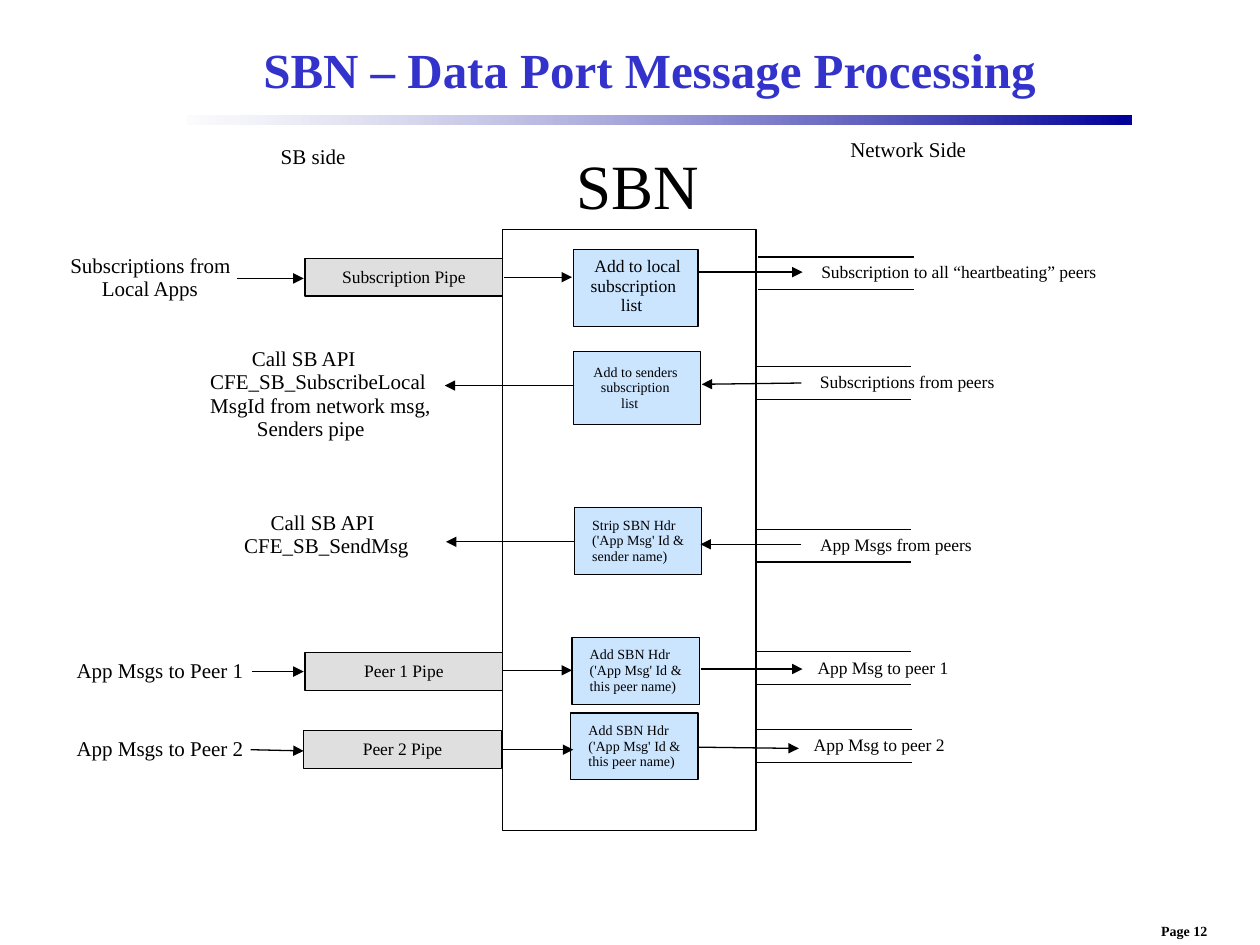
from dataclasses import dataclass

from pptx import Presentation
from pptx.dml.color import RGBColor
from pptx.enum.shapes import MSO_CONNECTOR as Connector, MSO_SHAPE as Shape
from pptx.enum.text import MSO_ANCHOR as Anchor, PP_ALIGN as Align
from pptx.oxml.ns import qn
from pptx.oxml.xmlchemy import OxmlElement
from pptx.util import Inches, Pt


@dataclass(frozen=True)
class Theme:
    font: str = "Times New Roman"
    ink: str = "000000"
    paper: str = "FFFFFF"
    title: str = "3333CC"
    rule: str = "000099"
    rule_fade: str = "F8F8FB"
    step: str = "99CCFF"
    pipe: str = "C0C0C0"
    title_size: int = 28
    banner_size: int = 36
    label_size: int = 12
    body_size: int = 10
    small_size: int = 8
    line_width: float = 0.75
    line_spacing: float = 0.93


@dataclass(frozen=True)
class Line:
    text: str
    indent: float = 0


@dataclass(frozen=True)
class Label:
    left: float
    top: float
    width: float
    height: float
    size: int
    lines: tuple[Line, ...]


@dataclass(frozen=True)
class Step:
    left: float
    top: float
    width: float
    height: float
    inset: float = 0
    lines: tuple[Line, ...] = ()


@dataclass(frozen=True)
class Pipe:
    left: float
    top: float
    text: str


@dataclass(frozen=True)
class Wire:
    start: tuple[float, float]
    end: tuple[float, float]


THEME = Theme()
PIPE_SIZE = (1.57, 0.3)
CHANNEL_LENGTH, CHANNEL_GAP = 1.23, 0.26
CHANNELS = ((6.02, 2.04), (6, 2.91), (6, 4.2), (6, 5.17), (6.01, 5.79))

LABELS = (
    Label(6.65, 1.05, 1.1, 0.28, THEME.label_size, (Line("Network Side"),)),
    Label(2.13, 1.11, 0.7, 0.28, THEME.label_size, (Line("SB side"),)),
    Label(4.48, 1.17, 1.15, 0.65, THEME.banner_size, (Line("SBN"),)),
    Label(0.46, 1.97, 1.48, 0.47, THEME.label_size,
          (Line("Subscriptions from"), Line("Local Apps", 0.25))),
    Label(1.57, 2.71, 1.91, 0.84, THEME.label_size,
          (Line("Call SB API", 0.33), Line("CFE_SB_SubscribeLocal"),
           Line("MsgId from network msg,"), Line("Senders pipe", 0.37))),
    Label(1.72, 4.01, 1.6, 0.47, THEME.label_size,
          (Line("Call SB API", 0.33), Line("CFE_SB_SendMsg", 0.12))),
    Label(0.51, 5.19, 1.5, 0.28, THEME.label_size, (Line("App Msgs to Peer 1"),)),
    Label(0.51, 5.81, 1.5, 0.28, THEME.label_size, (Line("App Msgs to Peer 2"),)),
    Label(6.42, 2.04, 2.34, 0.25, THEME.body_size,
          (Line("Subscription to all “heartbeating” peers"),)),
    Label(6.41, 2.91, 1.56, 0.25, THEME.body_size, (Line("Subscriptions from peers"),)),
    Label(6.41, 4.2, 1.38, 0.25, THEME.body_size, (Line("App Msgs from peers"),)),
    Label(6.39, 5.18, 1.21, 0.25, THEME.body_size, (Line("App Msg to peer 1"),)),
    Label(6.36, 5.79, 1.21, 0.25, THEME.body_size, (Line("App Msg to peer 2"),)),
    Label(4.59, 1.99, 0.94, 0.56, THEME.body_size,
          (Line("Add to local", 0.03), Line("subscription"), Line("list", 0.24))),
)

ADD_HEADER = (Line("Add SBN Hdr"), Line("('App Msg' Id &"), Line("this peer name)"))
STEPS = (
    Step(4.55, 1.98, 0.99, 0.61),
    Step(4.55, 2.79, 1.01, 0.58, 0.16,
         (Line("Add to senders"), Line("subscription", 0.06), Line("list", 0.22))),
    Step(4.56, 4.03, 1.01, 0.53, 0.14,
         (Line("Strip SBN Hdr"), Line("('App Msg' Id &"), Line("sender name)"))),
    Step(4.54, 5.06, 1.01, 0.53, 0.14, ADD_HEADER),
    Step(4.53, 5.66, 1.01, 0.53, 0.14, ADD_HEADER),
)

PIPES = (
    Pipe(2.42, 2.05, "Subscription Pipe"),
    Pipe(2.42, 5.18, "Peer 1 Pipe"),
    Pipe(2.41, 5.8, "Peer 2 Pipe"),
)

ARROWS = (
    Wire((1.88, 2.21), (2.41, 2.21)), Wire((4, 2.2), (4.54, 2.2)),
    Wire((5.54, 2.16), (6.37, 2.16)),
    Wire((6.36, 3.04), (5.57, 3.05)), Wire((4.55, 3.06), (3.53, 3.06)),
    Wire((6.36, 4.32), (5.56, 4.32)), Wire((4.56, 4.3), (3.54, 4.3)),
    Wire((2, 5.33), (2.41, 5.33)), Wire((3.99, 5.32), (4.54, 5.32)),
    Wire((5.56, 5.31), (6.37, 5.31)),
    Wire((1.99, 5.95), (2.41, 5.96)), Wire((3.99, 5.95), (4.55, 5.95)),
    Wire((5.54, 5.93), (6.34, 5.94)),
)


def color(value: str) -> RGBColor:
    return RGBColor.from_string(value)


def halve_opacity(shape) -> None:
    alpha = OxmlElement("a:alpha")
    alpha.set("val", "50000")
    next(shape.element.spPr.iter(qn("a:srgbClr"))).append(alpha)


def write(shape, lines: tuple[Line, ...], size: int, inset: float = 0.1,
          anchor=Anchor.TOP, align=Align.LEFT, ink: str = THEME.ink,
          bold: bool = False, spacing: float = THEME.line_spacing) -> None:
    frame = shape.text_frame
    frame.word_wrap = True
    frame.vertical_anchor = anchor
    frame.margin_left = Inches(inset)
    frame.margin_right = Inches(0)
    frame.margin_top = frame.margin_bottom = Inches(0.05)
    for index, line in enumerate(lines):
        paragraph = frame.add_paragraph() if index else frame.paragraphs[0]
        paragraph.text = line.text
        paragraph.alignment = align
        paragraph.line_spacing = spacing
        font = paragraph.font
        font.name, font.size, font.bold = THEME.font, Pt(size), bold
        font.color.rgb = color(ink)
        if line.indent:
            paragraph._p.get_or_add_pPr().set("marL", str(Inches(line.indent)))


def add_text(slide, label: Label, **style) -> None:
    box = slide.shapes.add_textbox(Inches(label.left), Inches(label.top),
                                   Inches(label.width), Inches(label.height))
    write(box, label.lines, label.size, **style)


def add_box(slide, left: float, top: float, width: float, height: float, fill: str):
    box = slide.shapes.add_shape(Shape.RECTANGLE, Inches(left), Inches(top),
                                 Inches(width), Inches(height))
    box.shadow.inherit = False
    box.fill.solid()
    box.fill.fore_color.rgb = color(fill)
    halve_opacity(box)
    box.line.color.rgb = color(THEME.ink)
    box.line.width = Pt(THEME.line_width)
    return box


def add_wire(slide, wire: Wire, arrow: bool) -> None:
    points = [Inches(value) for value in (*wire.start, *wire.end)]
    connector = slide.shapes.add_connector(Connector.STRAIGHT, *points)
    connector.line.color.rgb = color(THEME.ink)
    connector.line.width = Pt(THEME.line_width)
    if arrow:
        tail = OxmlElement("a:tailEnd")
        tail.set("type", "triangle")
        connector.line._get_or_add_ln().append(tail)
    connector.element.spPr.append(OxmlElement("a:effectLst"))


def add_title_rule(slide) -> None:
    rule = slide.shapes.add_shape(Shape.RECTANGLE, Inches(1.49), Inches(0.92),
                                  Inches(7.49), Inches(0.07))
    rule.shadow.inherit = False
    rule.line.fill.background()
    rule.fill.gradient()
    rule.fill.gradient_angle = 0
    for stop, value in zip(rule.fill.gradient_stops, (THEME.rule_fade, THEME.rule)):
        stop.color.rgb = color(value)
    halve_opacity(rule)


def main() -> None:
    presentation = Presentation()
    presentation.slide_width, presentation.slide_height = Inches(10), Inches(7.5)
    slide = presentation.slides.add_slide(presentation.slide_layouts[6])

    add_text(slide, Label(8.92, 7.27, 0.96, 0.23, THEME.small_size, (Line("Page 12"),)),
             inset=0, align=Align.CENTER, bold=True, spacing=1.0)
    add_title_rule(slide)
    add_text(slide, Label(1.5, 0.17, 7.67, 0.75, THEME.title_size,
                          (Line("SBN – Data Port Message Processing"),)),
             inset=0.59, anchor=Anchor.MIDDLE, ink=THEME.title, bold=True, spacing=1.0)

    add_box(slide, 3.99, 1.82, 2.01, 4.77, THEME.paper)
    for left, top in CHANNELS:
        for height in (top, top + CHANNEL_GAP):
            add_wire(slide, Wire((left, height), (left + CHANNEL_LENGTH, height)), False)
    for step in STEPS:
        box = add_box(slide, step.left, step.top, step.width, step.height, THEME.step)
        write(box, step.lines, THEME.small_size, step.inset, Anchor.MIDDLE)
    for pipe in PIPES:
        box = add_box(slide, pipe.left, pipe.top, *PIPE_SIZE, THEME.pipe)
        write(box, (Line(pipe.text),), THEME.body_size, 0, Anchor.MIDDLE, Align.CENTER)
    for arrow in ARROWS:
        add_wire(slide, arrow, True)
    for label in LABELS:
        add_text(slide, label)

    presentation.save("out.pptx")


if __name__ == "__main__":
    main()
